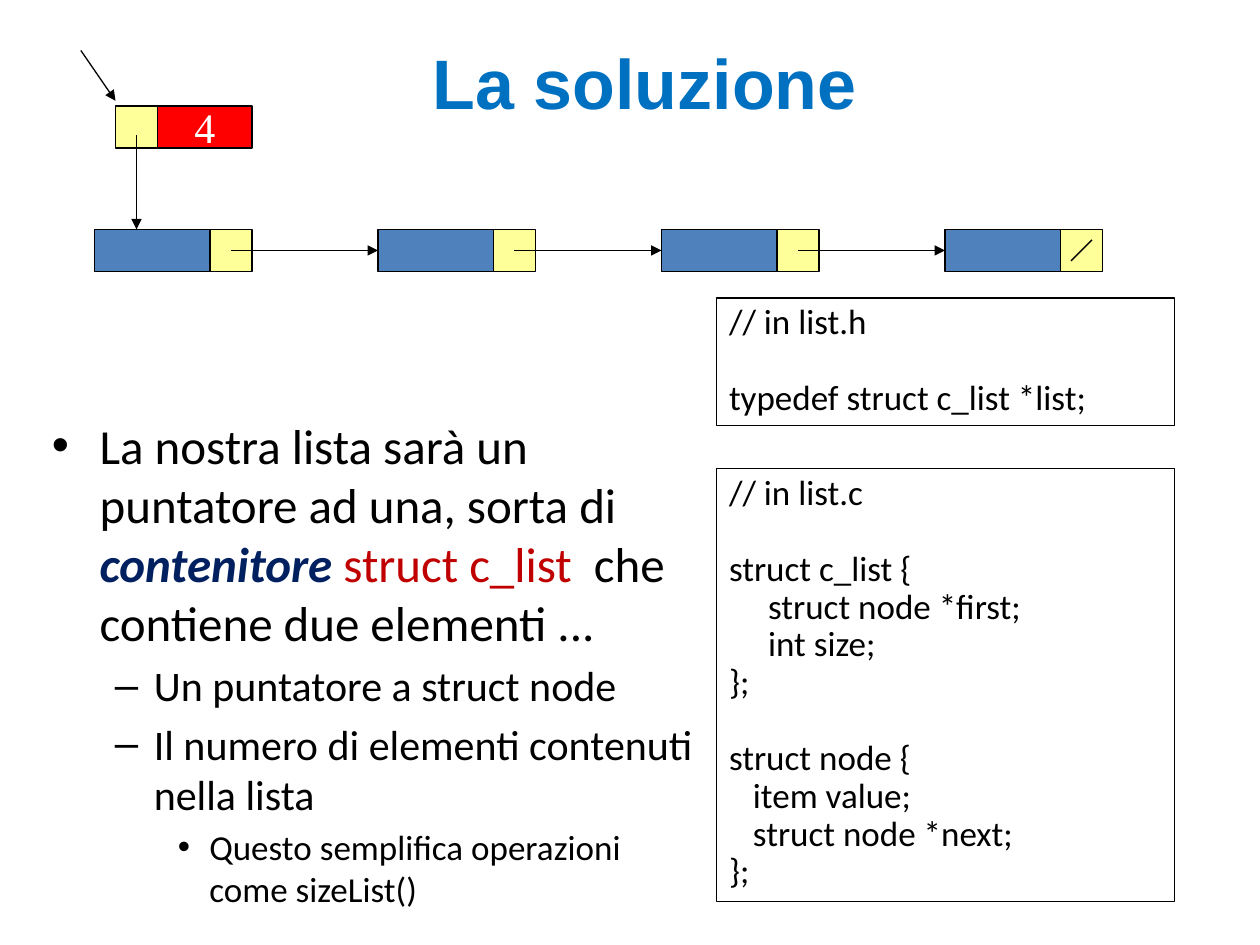
from pptx import Presentation
from pptx.dml.color import RGBColor as RGB
from pptx.enum.shapes import MSO_CONNECTOR as Connector, MSO_SHAPE as Shape
from pptx.enum.text import MSO_ANCHOR as Anchor, PP_ALIGN as Align
from pptx.oxml.ns import qn
from pptx.util import Inches, Pt
from lxml.etree import SubElement


class Theme:
    black, white = RGB(0, 0, 0), RGB(255, 255, 255)
    title = RGB(0x00, 0x70, 0xC0)
    value = RGB(0x4F, 0x81, 0xBD)
    pointer = RGB(0xFF, 0xFF, 0x99)
    count = RGB(0xFF, 0, 0)
    term = RGB(0x00, 0x20, 0x60)
    code = RGB(0xC0, 0, 0)
    heading_font, body_font, count_font = "Arial", "Calibri", "Times New Roman"
    title_size, count_size, code_size = 40, 24, 20
    level_sizes = (28, 24, 20)
    line_width = Pt(0.75)


CELL = Inches(1) / 12  # grid of 120 columns by 90 rows

deck = Presentation()
deck.slide_width, deck.slide_height = int(120 * CELL), int(90 * CELL)
slide = deck.slides.add_slide(deck.slide_layouts[6])


def add_box(col, row, cols, rows, fill=None):
    """Add a thin-edged rectangle, given in grid cells."""
    box = slide.shapes.add_shape(Shape.RECTANGLE, *(int(n * CELL) for n in (col, row, cols, rows)))
    box.shadow.inherit = False
    if fill is None:
        box.fill.background()
    else:
        box.fill.solid()
        box.fill.fore_color.rgb = fill
    box.line.color.rgb = Theme.black
    box.line.width = Theme.line_width
    return box


def add_run(paragraph, text, size, color=Theme.black, font=Theme.body_font, bold=False, italic=False):
    run = paragraph.add_run()
    run.text = text
    run.font.size, run.font.name = Pt(size), font
    run.font.color.rgb = color
    run.font.bold, run.font.italic = bold, italic


# Title
title = slide.shapes.add_textbox(*(int(n * CELL) for n in (5.5, 2.5, 111.8, 10.6))).text_frame
title.word_wrap = True
title.vertical_anchor = Anchor.MIDDLE
title.paragraphs[0].alignment = Align.CENTER
add_run(title.paragraphs[0], "La soluzione", Theme.title_size, Theme.title, Theme.heading_font, bold=True)

# Linked list: four nodes, each a value and a pointer
NODES, NODE_COL, NODE_STEP, NODE_ROW = 4, 9, 27, 21.85
VALUE_COLS, POINTER = 11, 4
mid_row = NODE_ROW + POINTER / 2
node_cols = [NODE_COL + i * NODE_STEP for i in range(NODES)]
nodes = [add_box(col, NODE_ROW, VALUE_COLS, POINTER, Theme.value) for col in node_cols]
for col in node_cols:
    add_box(col + VALUE_COLS, NODE_ROW, POINTER, POINTER, Theme.pointer)

# Container: pointer to the first node and the element count
HEAD_COL, HEAD_ROW = 11, 10.1
add_box(HEAD_COL, HEAD_ROW, POINTER, POINTER, Theme.pointer)
count = add_box(HEAD_COL + POINTER, HEAD_ROW, 9, POINTER, Theme.count).text_frame
count.word_wrap = False
count.vertical_anchor = Anchor.MIDDLE
count.paragraphs[0].alignment = Align.CENTER
add_run(count.paragraphs[0], "4", Theme.count_size, Theme.white, Theme.count_font)

# Links: start, end, arrowhead, node whose left side is reached
head_mid = HEAD_COL + POINTER / 2
null_mid = node_cols[-1] + VALUE_COLS + POINTER / 2
links = [
    ((7.7, 4.8), (HEAD_COL, 9.6), True, None),
    ((head_mid, 12.85), (head_mid, NODE_ROW), True, None),
    ((null_mid - 1, mid_row + 1), (null_mid + 1, mid_row - 1), False, None),
]
for col, next_col, next_node in zip(node_cols, node_cols[1:], nodes[1:]):
    links.append(((col + VALUE_COLS + POINTER / 2, mid_row), (next_col, mid_row), True, next_node))
for start, end, arrowhead, target in links:
    link = slide.shapes.add_connector(Connector.STRAIGHT, *(int(n * CELL) for n in start + end))
    link.line.color.rgb = Theme.black
    link.line.width = Theme.line_width
    if arrowhead:
        SubElement(link.line._get_or_add_ln(), qn("a:tailEnd"), type="triangle")
    SubElement(link._element.spPr, qn("a:effectLst"))
    if target is not None:
        link.end_connect(target, 1)

# Explanation: level and its runs
points = [
    (0, [("La nostra lista sarà un puntatore ad una, sorta di ", {}),
         ("contenitore ", dict(color=Theme.term, bold=True, italic=True)),
         ("struct c_list ", dict(color=Theme.code)),
         (" che contiene due elementi ...", {})]),
    (1, [("Un puntatore a struct node", {})]),
    (1, [("Il numero di elementi contenuti nella lista", {})]),
    (2, [("Questo semplifica operazioni come sizeList()", {})]),
]
bullets = [("•", 0.38, -0.38), ("–", 0.81, -0.31), ("•", 1.25, -0.25)]
body = slide.shapes.add_textbox(*(int(n * CELL) for n in (3.75, 39, 64.5, 49.5))).text_frame
body.word_wrap = True
for i, (level, runs) in enumerate(points):
    point = body.add_paragraph() if i else body.paragraphs[0]
    size = Theme.level_sizes[level]
    point.level = level
    point.space_before = Pt(size * 0.2)
    mark, margin, indent = bullets[level]
    props = point._p.get_or_add_pPr()
    props.set("marL", str(Inches(margin)))
    props.set("indent", str(Inches(indent)))
    SubElement(props, qn("a:buFont"), typeface=Theme.heading_font)
    SubElement(props, qn("a:buChar"), char=mark)
    for text, style in runs:
        add_run(point, text, size, **style)

# Code listings: row, height, then blocks of (indent in inches, line)
listings = [
    (28.4, 12.15, [[(0, "// in list.h")], [(0, "typedef struct c_list *list;")]]),
    (44.65, 41.2, [
        [(0, "// in list.c")],
        [(0, "struct c_list {"), (0.31, "struct node *first;"), (0.31, "int size;"), (0, "};")],
        [(0, "struct node {"), (0.19, "item value;"), (0.19, "struct node *next;"), (0, "};")],
    ]),
]
for row, rows, blocks in listings:
    listing = add_box(68.25, row, 43.6, rows).text_frame
    listing.word_wrap = True
    listing.vertical_anchor = Anchor.TOP
    for b, block in enumerate(blocks):
        for n, (indent, code) in enumerate(block):
            line = listing.add_paragraph() if b or n else listing.paragraphs[0]
            line.alignment = Align.JUSTIFY
            line.line_spacing = 0.9
            if b and not n:
                line.space_before = Pt(21.8)  # one line between blocks
            line._p.get_or_add_pPr().set("marL", str(Inches(indent)))
            add_run(line, code, Theme.code_size)

deck.save("out.pptx")
